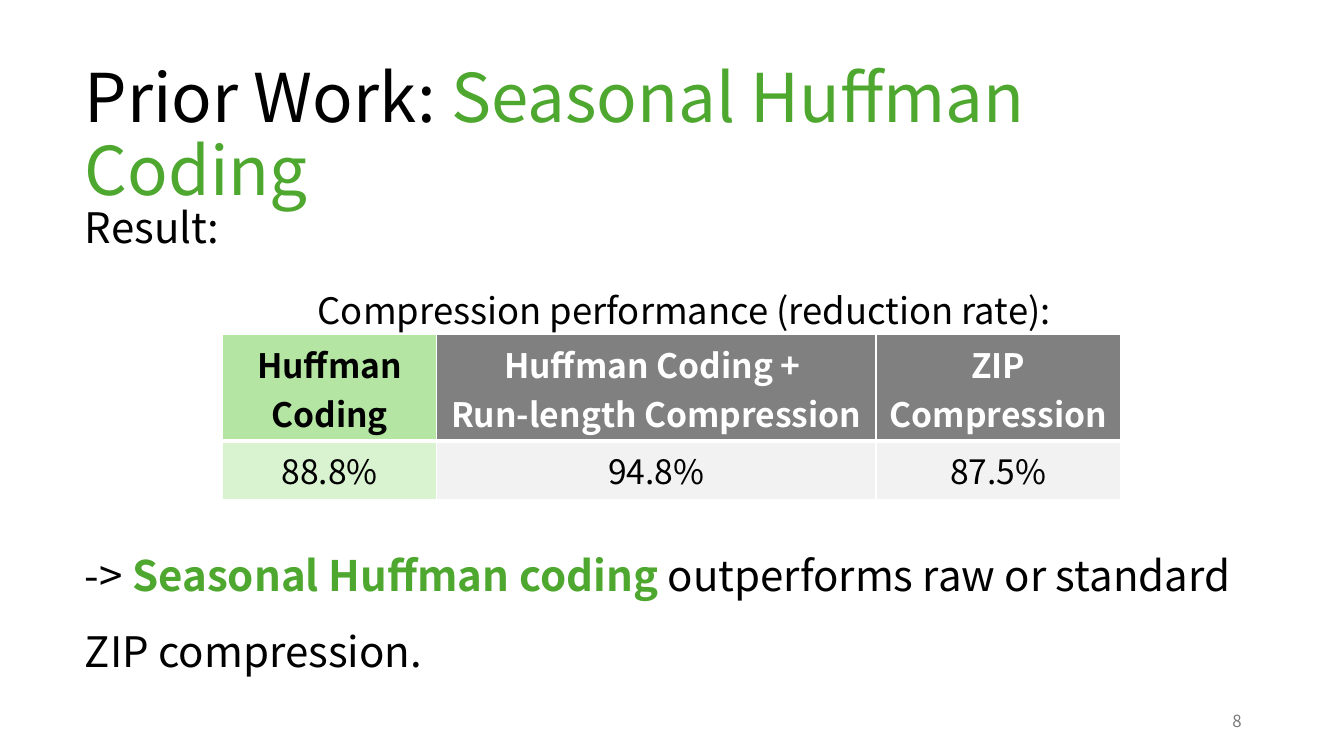
from lxml.etree import SubElement
from pptx import Presentation
from pptx.dml.color import RGBColor
from pptx.enum.text import MSO_ANCHOR, PP_ALIGN
from pptx.oxml.ns import qn
from pptx.util import Pt

FONT = "Noto Sans CJK JP"
BLACK = RGBColor(0x00, 0x00, 0x00)
WHITE = RGBColor(0xFF, 0xFF, 0xFF)
GREEN = RGBColor(0x4E, 0xA7, 0x2E)
PAGE_GRAY = RGBColor(0x79, 0x79, 0x79)
HEAD_GREEN = RGBColor(0xB4, 0xE5, 0xA2)
HEAD_GRAY = RGBColor(0x80, 0x80, 0x80)
PALE_GREEN = RGBColor(0xD9, 0xF2, 0xD0)
PALE_GRAY = RGBColor(0xF2, 0xF2, 0xF2)

COLUMN_WIDTHS = (152.4, 314.2, 174.6)
ROW_HEIGHTS = (76, 42)
METHODS = (
    (["Huffman Coding"], "88.8%", HEAD_GREEN, BLACK, PALE_GREEN),
    (["Huffman Coding + ", "Run-length Compression"], "94.8%", HEAD_GRAY, WHITE, PALE_GRAY),
    (["ZIP Compression"], "87.5%", HEAD_GRAY, WHITE, PALE_GRAY),
)


def add_run(paragraph, text, size, color=BLACK, bold=False):
    """Append one formatted run to a paragraph."""
    run = paragraph.add_run()
    run.text = text
    run.font.name = FONT
    run.font.size = Pt(size)
    run.font.bold = bold
    run.font.color.rgb = color


def add_text(slide, left, top, width, height, paragraphs, anchor=MSO_ANCHOR.TOP):
    """Add a wrapping box of (runs, alignment, line spacing, space before) paragraphs."""
    frame = slide.shapes.add_textbox(Pt(left), Pt(top), Pt(width), Pt(height)).text_frame
    frame.word_wrap = True
    frame.vertical_anchor = anchor
    for index, (runs, alignment, spacing, before) in enumerate(paragraphs):
        paragraph = frame.add_paragraph() if index else frame.paragraphs[0]
        paragraph.alignment = alignment
        paragraph.line_spacing = spacing
        paragraph.space_before = Pt(before)
        for run in runs:
            add_run(paragraph, *run)


def set_borders(cell, bottom_width):
    """Draw white borders around a cell."""
    properties = cell._tc.get_or_add_tcPr()
    widths = {"a:lnL": 1, "a:lnR": 1, "a:lnT": 1, "a:lnB": bottom_width}
    for position, (side, width) in enumerate(widths.items()):
        line = SubElement(properties, qn(side), w=str(Pt(width)))
        fill = SubElement(line, qn("a:solidFill"))
        SubElement(fill, qn("a:srgbClr"), val=str(WHITE))
        properties.insert(position, line)


def fill_cell(cell, lines, background, color, bold, bottom_width):
    """Write centred lines into a cell and style it."""
    cell.fill.solid()
    cell.fill.fore_color.rgb = background
    set_borders(cell, bottom_width)
    frame = cell.text_frame
    for index, text in enumerate(lines):
        paragraph = frame.add_paragraph() if index else frame.paragraphs[0]
        paragraph.alignment = PP_ALIGN.CENTER
        add_run(paragraph, text, 24, color, bold)


def add_results(slide):
    """Add the table of reduction rates."""
    results = slide.shapes.add_table(
        len(ROW_HEIGHTS), len(METHODS), Pt(159.2), Pt(238.8),
        Pt(sum(COLUMN_WIDTHS)), Pt(sum(ROW_HEIGHTS))).table
    for row, height in zip(results.rows, ROW_HEIGHTS):
        row.height = Pt(height)
    for index, (method, rate, head_fill, head_color, rate_fill) in enumerate(METHODS):
        results.columns[index].width = Pt(COLUMN_WIDTHS[index])
        fill_cell(results.cell(0, index), method, head_fill, head_color, True, 3)
        fill_cell(results.cell(1, index), [rate], rate_fill, BLACK, False, 1)


def main():
    """Build the slide and save it."""
    deck = Presentation()
    deck.slide_width, deck.slide_height = Pt(960), Pt(540)
    slide = deck.slides.add_slide(deck.slide_layouts[6])

    title = [("Prior Work: ", 48), ("Seasonal Huffman Coding", 48, GREEN)]
    add_text(slide, 53.6, 46, 853, 104, [(title, PP_ALIGN.LEFT, 0.9, 0)], MSO_ANCHOR.MIDDLE)

    caption = [("Compression performance (reduction rate):", 26)]
    conclusion = [
        ("-> ", 30),
        ("Seasonal Huffman coding ", 30, GREEN, True),
        ("outperforms raw or standard ZIP compression.", 30),
    ]
    add_text(slide, 53.6, 122.4, 871, 391, [
        ([("Result:", 30)], PP_ALIGN.LEFT, 1.5, 10),
        (caption, PP_ALIGN.CENTER, 1.5, 10),
        (conclusion, PP_ALIGN.LEFT, 1.5, 138),
    ])
    add_results(slide)
    add_text(slide, 678, 500.4, 216, 28.8,
             [([("8", 12, PAGE_GRAY)], PP_ALIGN.RIGHT, 1, 0)], MSO_ANCHOR.MIDDLE)
    deck.save("out.pptx")


if __name__ == "__main__":
    main()
